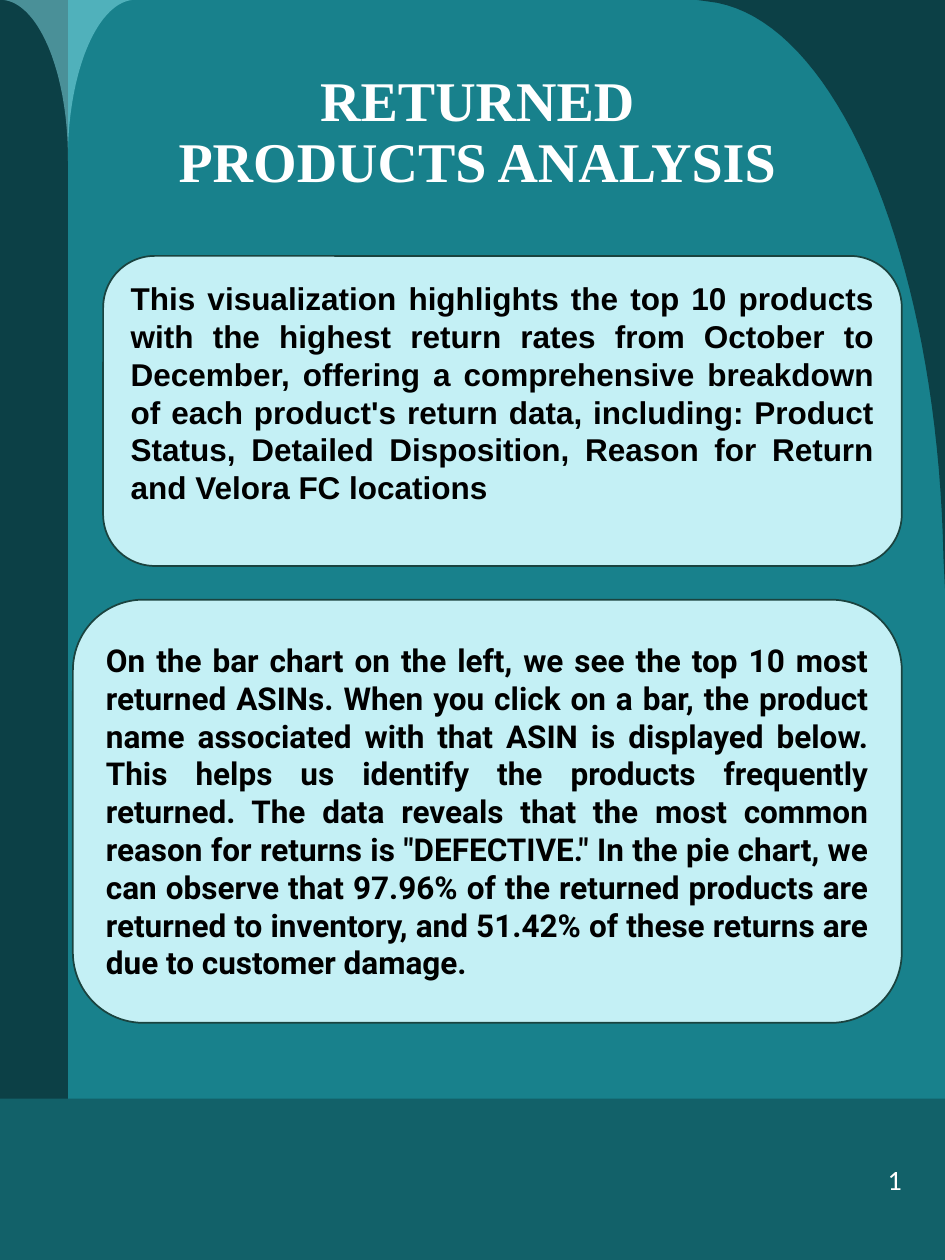
from dataclasses import dataclass

import pptx
import pptx.dml.color
import pptx.enum.shapes
import pptx.enum.text
import pptx.oxml
import pptx.oxml.ns
import pptx.util
from lxml import etree

Cm = pptx.util.Cm
Pt = pptx.util.Pt
RGBColor = pptx.dml.color.RGBColor
Shapes = pptx.enum.shapes.MSO_SHAPE
Align = pptx.enum.text.PP_ALIGN
Anchor = pptx.enum.text.MSO_ANCHOR

TEAL = RGBColor(0x18, 0x81, 0x8C)
DARK_TEAL = RGBColor(0x0C, 0x40, 0x46)
FOOTER_TEAL = RGBColor(0x12, 0x61, 0x69)
FOLD_TEAL = RGBColor(0x89, 0xE1, 0xEB)
CARD_FILL = RGBColor(0xC4, 0xF0, 0xF5)
CARD_LINE = RGBColor(0x1A, 0x43, 0x3F)
WHITE = RGBColor(0xFF, 0xFF, 0xFF)
BLACK = RGBColor(0x00, 0x00, 0x00)

WIDTH, HEIGHT = 19.05, 25.4
BAR_WIDTH = 1.37
FOOTER_TOP = 22.15

Point = tuple[float, float]


@dataclass(frozen=True)
class Box:
    left: float
    top: float
    width: float
    height: float

    def lengths(self) -> list[pptx.util.Length]:
        return [Cm(value) for value in (self.left, self.top, self.width, self.height)]


@dataclass(frozen=True)
class Card:
    box: Box
    font_name: str
    text: str
    bottom_margin: float = 0.13


CARDS = [
    Card(
        Box(2.08, 5.16, 16.1, 6.25),
        "Arial",
        "This visualization highlights the top 10 products with the highest return "
        "rates from October to December, offering a comprehensive breakdown of each "
        "product's return data, including: Product Status, Detailed Disposition, "
        "Reason for Return and Velora FC locations",
        bottom_margin=0.86,
    ),
    Card(
        Box(1.47, 12.09, 16.71, 8.53),
        "Roboto",
        "On the bar chart on the left, we see the top 10 most returned ASINs. When you "
        "click on a bar, the product name associated with that ASIN is displayed below. "
        "This helps us identify the products frequently returned. The data reveals that "
        'the most common reason for returns is "DEFECTIVE." In the pie chart, we can '
        "observe that 97.96% of the returned products are returned to inventory, and "
        "51.42% of these returns are due to customer damage.",
    ),
]


def style_shape(shape, fill: RGBColor) -> None:
    shape.shadow.inherit = False
    shape.fill.solid()
    shape.fill.fore_color.rgb = fill
    shape.line.fill.background()


def add_panel(slide, box: Box, fill: RGBColor, kind=Shapes.RECTANGLE):
    shape = slide.shapes.add_shape(kind, *box.lengths())
    style_shape(shape, fill)
    return shape


def bezier(start: Point, control_1: Point, control_2: Point, end: Point) -> list[Point]:
    """Sample a cubic curve, both ends included."""
    steps = 40
    points = []
    for step in range(steps + 1):
        t = step / steps
        weights = ((1 - t) ** 3, 3 * t * (1 - t) ** 2, 3 * t * t * (1 - t), t ** 3)
        corners = (start, control_1, control_2, end)
        points.append(tuple(
            sum(weight * corner[axis] for weight, corner in zip(weights, corners))
            for axis in (0, 1)
        ))
    return points


def add_outline(slide, points: list[Point], fill: RGBColor):
    corners = [(Cm(x), Cm(y)) for x, y in points]
    builder = slide.shapes.build_freeform(*corners[0])
    builder.add_line_segments(corners[1:], close=True)
    shape = builder.convert_to_shape()
    style_shape(shape, fill)
    return shape


def set_opacity(shape, percent: int) -> None:
    color = shape.fill._xPr.find(".//" + pptx.oxml.ns.qn("a:srgbClr"))
    etree.SubElement(color, pptx.oxml.ns.qn("a:alpha"), val=str(percent * 1000))


def write_text(shape, text: str, font_name: str, size: int, color: RGBColor,
               alignment=Align.CENTER, bold: bool = False):
    frame = shape.text_frame
    frame.word_wrap = True
    frame.vertical_anchor = Anchor.MIDDLE
    paragraph = frame.paragraphs[0]
    paragraph.text = text
    paragraph.alignment = alignment
    paragraph.font.name = font_name
    paragraph.font.size = Pt(size)
    paragraph.font.bold = bold
    paragraph.font.color.rgb = color
    return paragraph


def add_backdrop(slide) -> None:
    slide.background.fill.solid()
    slide.background.fill.fore_color.rgb = TEAL
    add_panel(slide, Box(0, 0, BAR_WIDTH, HEIGHT), DARK_TEAL)
    add_panel(slide, Box(0, FOOTER_TOP, WIDTH, HEIGHT - FOOTER_TOP), FOOTER_TEAL)

    corner_curve = bezier((14.27, 0.03), (16.84, 0.3), (18.9, 5.18), (19.02, 11.25))
    add_outline(slide, [(WIDTH, 11.86), (WIDTH, 0), (14.05, 0), *corner_curve], DARK_TEAL)

    right_curve = bezier((2.67, 0), (1.96, 0.08), (1.4, 1.42), (BAR_WIDTH, 3.07))
    left_curve = [(2 * BAR_WIDTH - x, y) for x, y in reversed(right_curve)]
    fold = add_outline(
        slide,
        [(2 * BAR_WIDTH, 0), *right_curve, (BAR_WIDTH, 3.25), *left_curve, (0, 0)],
        FOLD_TEAL,
    )
    set_opacity(fold, 50)


def add_card(slide, card: Card) -> None:
    shape = add_panel(slide, card.box, CARD_FILL, Shapes.ROUNDED_RECTANGLE)
    shape.line.color.rgb = CARD_LINE
    shape.line.width = Pt(1)
    write_text(shape, card.text, card.font_name, 18, BLACK, Align.JUSTIFY, bold=True)
    shape.text_frame.margin_bottom = Cm(card.bottom_margin)


def main() -> None:
    presentation = pptx.Presentation()
    presentation.slide_width = Cm(WIDTH)
    presentation.slide_height = Cm(HEIGHT)
    slide = presentation.slides.add_slide(presentation.slide_layouts[5])
    add_backdrop(slide)

    title = slide.shapes.title
    title.left, title.top, title.width, title.height = Box(3.25, 0.23, 12.75, 4.93).lengths()
    heading = write_text(title, "RETURNED PRODUCTS ANALYSIS", "Times New Roman", 32, WHITE,
                         bold=True)
    heading.line_spacing = 0.9
    # The placeholder comes first in the tree, so lift it above the backdrop.
    slide.shapes._spTree.append(title._element)

    number_box = Box(17.02, FOOTER_TOP, 2.03, HEIGHT - FOOTER_TOP)
    page_number = slide.shapes.add_textbox(*number_box.lengths())
    write_text(page_number, "1", "Calibri", 16, WHITE)

    for card in CARDS:
        add_card(slide, card)
    presentation.save("out.pptx")


if __name__ == "__main__":
    main()
